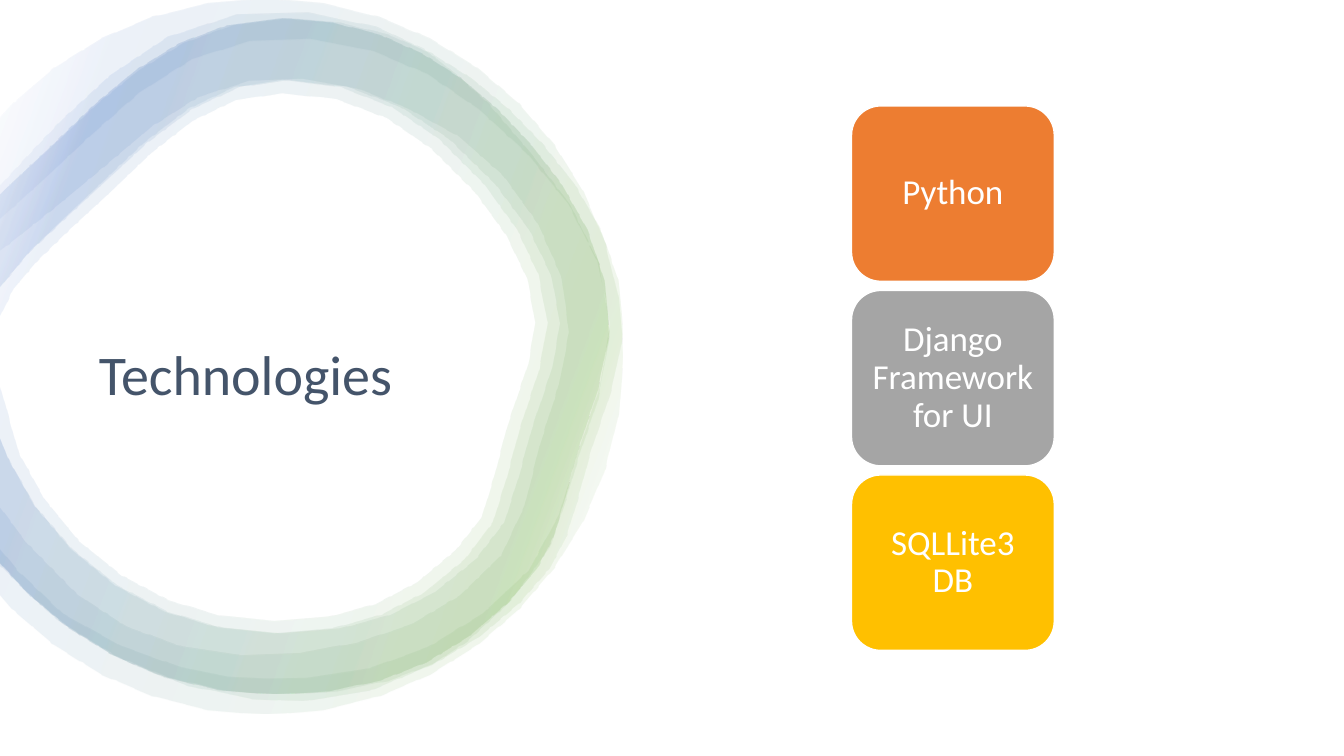
from dataclasses import dataclass
from math import dist

from lxml import etree
from pptx import Presentation
from pptx.dml.color import RGBColor
from pptx.enum.shapes import MSO_SHAPE
from pptx.enum.text import MSO_ANCHOR, PP_ALIGN
from pptx.oxml.ns import qn
from pptx.util import Cm, Pt

ROUNDED = MSO_SHAPE.ROUNDED_RECTANGLE
MIDDLE = MSO_ANCHOR.MIDDLE
LEFT, CENTER = PP_ALIGN.LEFT, PP_ALIGN.CENTER

FONT = "Calibri"
WHITE, SLATE = "FFFFFF", "44546A"
RING_STOPS = ((2, WHITE), (16, "70AD47"), (85, "4472C4"), (100, WHITE))
RING_ANGLE = 200
RING_OPACITY = 10
CM_PER_UNIT = 2.54
SEGMENT = 0.5

Points = list[tuple[float, float]]


@dataclass
class Layer:
    """One translucent band of the ring, as two chains of Bezier curves."""
    outer: Points
    inner: Points
    stretch: float = 1.0


@dataclass
class Technology:
    """One card of the technology stack."""
    label: str
    color: str


def rgb(color: str) -> RGBColor:
    """Turn a hex string into a colour."""
    return RGBColor.from_string(color)


def smooth(knots: Points) -> Points:
    """Give the Bezier chain of a smooth curve through all knots."""
    padded = [knots[0], *knots, knots[-1]]
    chain = [knots[0]]
    for (ax, ay), (bx, by), (cx, cy), (dx, dy) in zip(
            padded, padded[1:], padded[2:], padded[3:]):
        chain += [(bx + (cx - ax) / 6, by + (cy - ay) / 6),
                  (cx - (dx - bx) / 6, cy - (dy - by) / 6), (cx, cy)]
    return chain


def trace(chain: Points) -> Points:
    """Sample a chain of cubic Bezier curves in steps of about one segment."""
    traced = [chain[0]]
    for start in range(0, len(chain) - 1, 3):
        curve = chain[start:start + 4]
        steps = max(1, round(dist(curve[0], curve[3]) / SEGMENT))
        for step in range(1, steps + 1):
            t = step / steps
            weights = ((1 - t) ** 3, 3 * t * (1 - t) ** 2,
                       3 * t ** 2 * (1 - t), t ** 3)
            traced.append((sum(w * x for w, (x, _) in zip(weights, curve)),
                           sum(w * y for w, (_, y) in zip(weights, curve))))
    return traced


def fill_gradient(shape) -> None:
    """Fill a band with the translucent blue to green gradient."""
    shape.fill.background()
    empty_fill = shape._element.spPr.find(qn("a:noFill"))
    gradient = etree.Element(qn("a:gradFill"), rotWithShape="1")
    stops = etree.SubElement(gradient, qn("a:gsLst"))
    for position, color in RING_STOPS:
        stop = etree.SubElement(stops, qn("a:gs"), pos=str(position * 1000))
        tone = etree.SubElement(stop, qn("a:srgbClr"), val=color)
        etree.SubElement(tone, qn("a:alpha"), val=str(RING_OPACITY * 1000))
    etree.SubElement(gradient, qn("a:lin"), ang=str(RING_ANGLE * 60000), scaled="0")
    empty_fill.getparent().replace(empty_fill, gradient)


def draw_layer(slide, layer: Layer) -> None:
    """Draw one band of the ring, open at the left slide edge."""
    outline = [(Cm(x * layer.stretch * CM_PER_UNIT), Cm(y * CM_PER_UNIT))
               for x, y in trace(layer.outer) + trace(layer.inner)]
    builder = slide.shapes.build_freeform(*outline[0])
    builder.add_line_segments(outline[1:], close=True)
    band = builder.convert_to_shape()
    band.shadow.inherit = False
    band.line.fill.background()
    fill_gradient(band)


def write(shape, text: str, *, size: float, color: str, align=LEFT) -> None:
    """Write one vertically centred paragraph into a shape."""
    frame = shape.text_frame
    frame.word_wrap = True
    frame.vertical_anchor = MIDDLE
    paragraph = frame.paragraphs[0]
    paragraph.alignment = align
    paragraph.line_spacing = 0.9
    run = paragraph.add_run()
    run.text = text
    run.font.name = FONT
    run.font.size = Pt(size)
    run.font.color.rgb = rgb(color)


def draw_card(slide, technology: Technology, top: float) -> None:
    """Draw one labelled card of the stack."""
    card = slide.shapes.add_shape(ROUNDED, Cm(21.46), Cm(top), Cm(5.11), Cm(4.42))
    card.shadow.inherit = False
    card.fill.solid()
    card.fill.fore_color.rgb = rgb(technology.color)
    card.line.color.rgb = rgb(WHITE)
    card.line.width = Pt(1)
    write(card, technology.label, size=25, color=WHITE, align=CENTER)


# Outer edges run clockwise and inner edges run back, both from x = 0 to x = 0.
PEBBLE_OUTER = [
    (0, 1.92), (0.03, 1.89), (0.05, 1.87), (0.08, 1.84), (0.24, 1.69), (0.4, 1.55),
    (0.56, 1.39), (1.19, 0.76), (1.83, 0.18), (2.79, 0.18), (3.84, 0.18), (4.62, 0.69),
    (5.25, 1.42), (5.79, 2.03), (6.26, 2.93), (5.92, 3.86), (5.46, 5.1), (5.66, 5.34),
    (5.03, 5.97), (4.4, 6.6), (3.68, 6.88), (2.71, 6.88), (1.76, 6.88), (0.9, 6.5),
    (0.27, 5.88), (0.18, 5.79), (0.09, 5.69), (0, 5.58)]
PEBBLE_INNER = [
    (0, 4.34), (0.02, 4.4), (0.05, 4.47), (0.07, 4.53), (0.22, 4.87), (0.43, 5.18),
    (0.7, 5.44), (1.24, 5.98), (1.95, 6.27), (2.71, 6.27), (3.12, 6.27), (3.47, 6.21),
    (3.77, 6.09), (4.07, 5.98), (4.34, 5.79), (4.6, 5.54), (4.78, 5.36), (4.84, 5.25),
    (4.88, 5.17), (4.93, 5.06), (4.97, 4.92), (5.02, 4.72), (5.08, 4.47), (5.17, 4.12),
    (5.34, 3.65), (5.45, 3.36), (5.45, 3.05), (5.33, 2.72), (5.23, 2.43), (5.05, 2.12),
    (4.79, 1.82), (4.5, 1.48), (4.2, 1.23), (3.88, 1.06), (3.54, 0.88), (3.19, 0.79),
    (2.79, 0.79), (2.47, 0.79), (2.17, 0.88), (1.87, 1.07), (1.56, 1.26), (1.27, 1.55),
    (0.99, 1.82), (0.86, 1.95), (0.73, 2.07), (0.61, 2.18), (0.37, 2.4), (0.17, 2.59),
    (0, 2.84)]
PEBBLE_NARROW = [
    (0, 3.83), (0.04, 4.07), (0.11, 4.31), (0.18, 4.48), (0.32, 4.81), (0.53, 5.1),
    (0.78, 5.36), (1.3, 5.87), (1.99, 6.15), (2.71, 6.15), (3.48, 6.15), (4.02, 5.94),
    (4.51, 5.45), (4.68, 5.28), (4.74, 5.19), (4.77, 5.12), (4.82, 5.02), (4.85, 4.88),
    (4.9, 4.69), (4.96, 4.43), (5.05, 4.08), (5.23, 3.6), (5.33, 3.34), (5.32, 3.06),
    (5.22, 2.76), (5.12, 2.48), (4.94, 2.18), (4.7, 1.9), (4.41, 1.57), (4.13, 1.33),
    (3.83, 1.17), (3.51, 1), (3.17, 0.92), (2.79, 0.92), (2.12, 0.92), (1.66, 1.33),
    (1.08, 1.91), (0.95, 2.04), (0.82, 2.16), (0.69, 2.27), (0.46, 2.49), (0.26, 2.67),
    (0.13, 2.86), (0.07, 2.95), (0.03, 3.03), (0, 3.13)]
WAVE_OUTER = smooth([
    (0, 1.84), (0.61, 1.19), (1.09, 0.75), (1.66, 0.37), (2.34, 0.15), (3.05, 0.13),
    (3.73, 0.27), (4.2, 0.49), (4.84, 1.03), (5.26, 1.52), (5.65, 2.03), (5.94, 2.62),
    (6.05, 3.29), (5.93, 3.96), (5.74, 4.52), (5.61, 4.96), (5.45, 5.43), (5.05, 5.97),
    (4.63, 6.36), (4.28, 6.59), (3.66, 6.85), (3, 6.95), (2.51, 6.93), (1.86, 6.8),
    (1.11, 6.49), (0.56, 6.14), (0, 5.61)])
WAVE_INNER = smooth([
    (0, 5.03), (0.25, 5.37), (0.76, 5.89), (1.25, 6.21), (1.81, 6.41), (2.39, 6.49),
    (2.97, 6.47), (3.53, 6.37), (4.07, 6.19), (4.56, 5.9), (4.97, 5.5), (5.2, 5.01),
    (5.35, 4.41), (5.54, 3.81), (5.64, 3.29), (5.56, 2.74), (5.33, 2.22), (4.99, 1.75),
    (4.55, 1.36), (4.04, 1.08), (3.53, 0.88), (2.99, 0.79), (2.46, 0.81), (1.96, 0.97),
    (1.5, 1.26), (1.05, 1.64), (0.57, 2.04), (0, 2.49)])
CIRCLE_OUTER = [
    (0, 1.16), (0.04, 1.12), (0.08, 1.07), (0.12, 1.03), (0.77, 0.38), (1.65, -0.01),
    (2.63, -0.01), (4.59, -0.01), (6.18, 1.57), (6.18, 3.53), (6.18, 5.49), (4.59, 7.08),
    (2.63, 7.08), (1.65, 7.08), (0.77, 6.68), (0.12, 6.04), (0.08, 5.99), (0.04, 5.95),
    (0, 5.9)]
CIRCLE_INNER = smooth([
    (0, 5.44), (0.17, 5.65), (0.62, 6.08), (1.2, 6.4), (1.79, 6.61), (2.26, 6.7),
    (3.04, 6.71), (3.66, 6.62), (4.24, 6.41), (4.78, 6.08), (5.24, 5.65), (5.54, 5.1),
    (5.73, 4.47), (5.94, 3.85), (6.05, 3.22), (5.92, 2.59), (5.63, 2.02), (5.22, 1.52),
    (4.75, 1.09), (4.24, 0.74), (3.67, 0.5), (3.07, 0.39), (2.47, 0.41), (1.9, 0.59),
    (1.38, 0.92), (0.9, 1.34), (0.42, 1.79), (0, 2.17)])

LAYERS = [Layer(WAVE_OUTER, WAVE_INNER),
          Layer(PEBBLE_OUTER, PEBBLE_INNER, stretch=1.024),
          Layer(PEBBLE_OUTER, PEBBLE_NARROW),
          Layer(PEBBLE_OUTER, PEBBLE_INNER),
          Layer(CIRCLE_OUTER, CIRCLE_INNER)]
TECHNOLOGIES = [Technology("Python", "ED7D31"),
                Technology("Django Framework for UI", "A5A5A5"),
                Technology("SQLLite3 DB", "FFC000")]

deck = Presentation()
deck.slide_width, deck.slide_height = Cm(33.87), Cm(19.05)
slide = deck.slides.add_slide(deck.slide_layouts[6])

for layer in LAYERS:
    draw_layer(slide, layer)
title = slide.shapes.add_textbox(Cm(2.24), Cm(5.61), Cm(10.16), Cm(7.82))
write(title, "Technologies", size=40, color=SLATE)
for row, technology in enumerate(TECHNOLOGIES):
    draw_card(slide, technology, top=2.67 + 4.65 * row)

deck.save("out.pptx")
